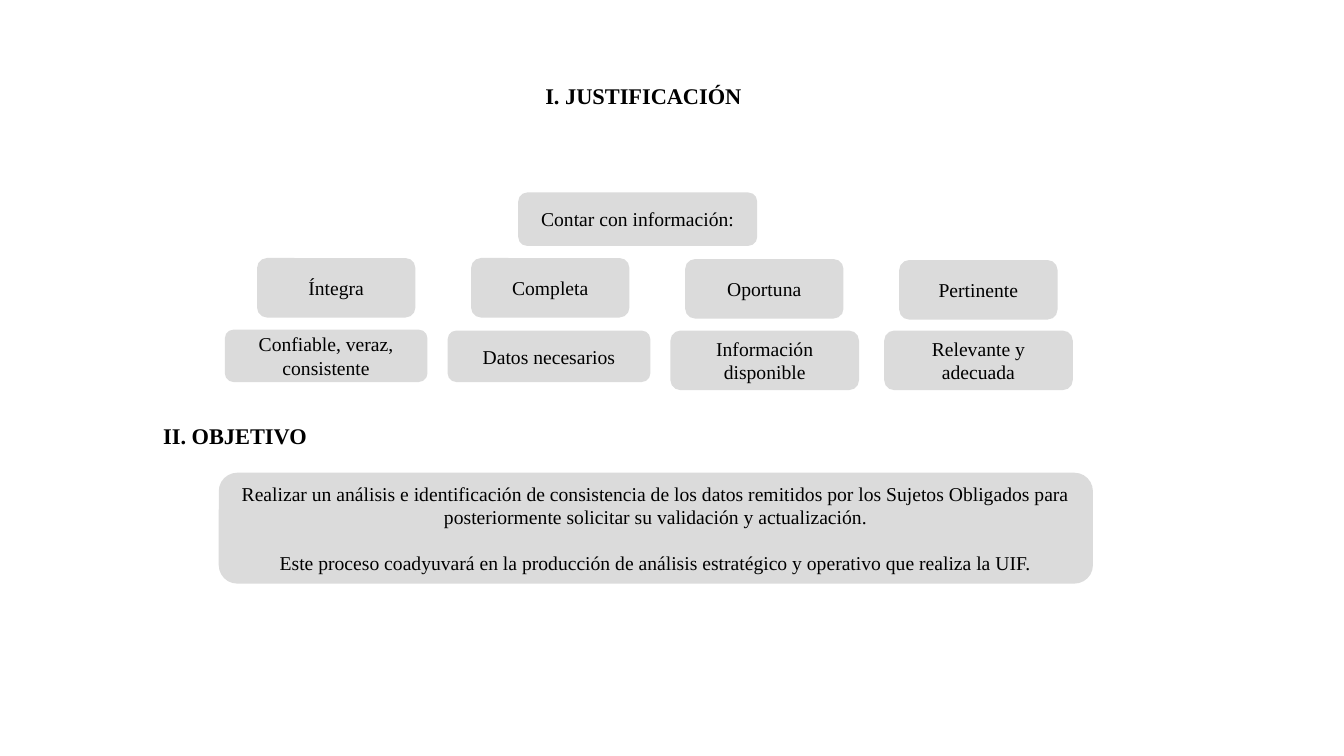
from pptx import Presentation
from pptx.dml.color import RGBColor
from pptx.enum.shapes import MSO_SHAPE
from pptx.enum.text import MSO_ANCHOR, PP_ALIGN
from pptx.util import Inches, Pt

ROUNDED = MSO_SHAPE.ROUNDED_RECTANGLE
MIDDLE = MSO_ANCHOR.MIDDLE
CENTER = PP_ALIGN.CENTER
LEFT = PP_ALIGN.LEFT

COLORS = {"text": "000000", "card": "DBDBDB"}
HEADING_FONT = {"name": "Times New Roman", "size": Pt(16), "bold": True}
BODY_FONT = {"name": "Times New Roman", "size": Pt(14), "bold": False}
PARAGRAPH_GAP = Pt(16)

# Quality, its offset and top; meaning, its offset, top, width and height
QUALITIES = [
    ("Íntegra", 0.65, "Confiable, veraz, consistente", (0, 1.36, 2.01, 0.52)),
    ("Completa", 0.65, "Datos necesarios", (2.21, 1.37, 2.01, 0.51)),
    ("Oportuna", 0.66, "Información disponible", (4.42, 1.37, 1.87, 0.59)),
    ("Pertinente", 0.67, "Relevante y adecuada", (6.54, 1.37, 1.87, 0.59)),
]
QUALITY_LEFT, QUALITY_STEP = 0.32, 2.123
QUALITY_WIDTH, QUALITY_HEIGHT = 1.57, 0.59

OBJECTIVE = [
    "Realizar un análisis e identificación de consistencia de los datos remitidos "
    "por los Sujetos Obligados para posteriormente solicitar su validación y "
    "actualización.",
    "Este proceso coadyuvará en la producción de análisis estratégico y operativo "
    "que realiza la UIF.",
]


def write_paragraphs(text_frame, texts, font_values, alignment):
    text_frame.word_wrap = True
    for index, text in enumerate(texts):
        paragraph = text_frame.add_paragraph() if index else text_frame.paragraphs[0]
        paragraph.alignment = alignment
        if index:
            paragraph.space_before = PARAGRAPH_GAP
        run = paragraph.add_run()
        run.text = text
        for attribute, value in font_values.items():
            setattr(run.font, attribute, value)
        run.font.color.rgb = RGBColor.from_string(COLORS["text"])


def add_heading(slide, text, box):
    text_box = slide.shapes.add_textbox(*map(Inches, box))
    write_paragraphs(text_box.text_frame, [text], HEADING_FONT, LEFT)


def add_card(slide, texts, box):
    card = slide.shapes.add_shape(ROUNDED, *map(Inches, box))
    card.shadow.inherit = False
    card.fill.solid()
    card.fill.fore_color.rgb = RGBColor.from_string(COLORS["card"])
    card.line.fill.background()
    card.text_frame.vertical_anchor = MIDDLE
    write_paragraphs(card.text_frame, texts, BODY_FONT, CENTER)


def add_information_chart(slide, left, top):
    """Place the lead card, the four qualities and their meanings."""
    add_card(slide, ["Contar con información:"], (left + 2.91, top, 2.37, 0.53))
    for column, (quality, quality_top, meaning, box) in enumerate(QUALITIES):
        quality_left = left + QUALITY_LEFT + column * QUALITY_STEP
        add_card(slide, [quality],
                 (quality_left, top + quality_top, QUALITY_WIDTH, QUALITY_HEIGHT))
        meaning_left, meaning_top, width, height = box
        add_card(slide, [meaning],
                 (left + meaning_left, top + meaning_top, width, height))


def add_objective(slide, left, top):
    add_heading(slide, "II. OBJETIVO", (left, top, 10.91, 0.37))
    add_card(slide, OBJECTIVE, (left + 0.65, top + 0.55, 8.67, 1.1))


def main():
    presentation = Presentation()
    presentation.slide_width = Inches(13.33)
    presentation.slide_height = Inches(7.5)
    slide = presentation.slides.add_slide(presentation.slide_layouts[6])
    add_heading(slide, "I. JUSTIFICACIÓN", (5.31, 0.77, 2.81, 0.37))
    add_information_chart(slide, 2.23, 1.91)
    add_objective(slide, 1.52, 4.14)
    presentation.save("out.pptx")


if __name__ == "__main__":
    main()
